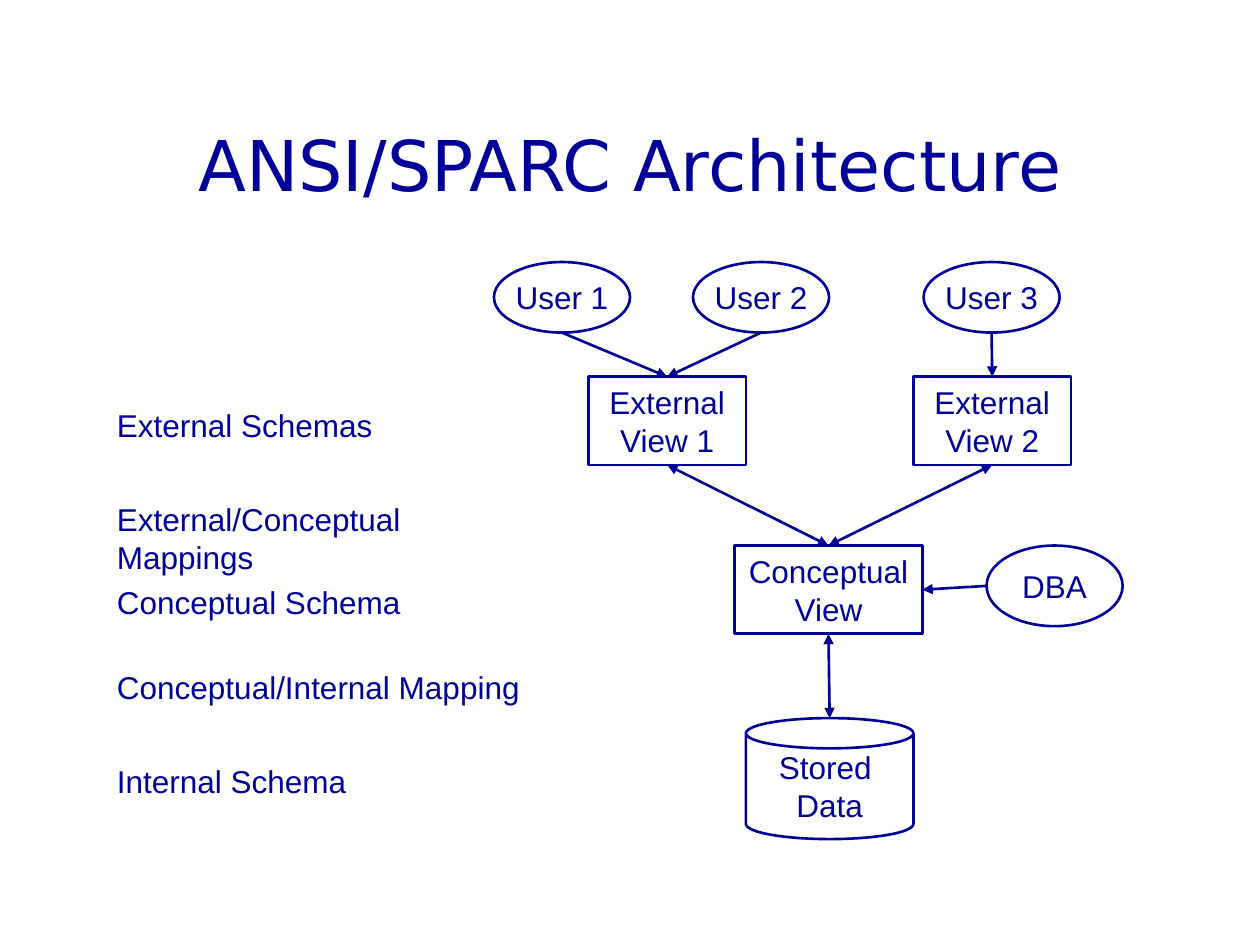
from pptx import Presentation
from pptx.dml.color import RGBColor
from pptx.enum.shapes import MSO_CONNECTOR as Link, MSO_SHAPE as Shape
from pptx.enum.text import MSO_ANCHOR as Anchor, MSO_AUTO_SIZE as Fit, PP_ALIGN as Align
from pptx.oxml.ns import qn
from pptx.util import Inches, Pt
from lxml.etree import SubElement

NAVY = RGBColor(0x00, 0x00, 0x99)
TOP, LEFT, BOTTOM, RIGHT = range(4)


def apply(target, values):
    for name, value in values.items():
        setattr(target, name, value)


class Diagram:
    """Draws outlined shapes, labels and arrows on one slide in a shared style."""

    font = {"name": "Arial", "size": Pt(18)}
    title_font = {"name": "DejaVu Sans", "size": Pt(40)}
    line_width = Pt(1.5)

    def __init__(self, page):
        self.page = page

    def fill_text(self, box, lines, font, align, frame):
        apply(box.text_frame, frame)
        for index, line in enumerate(lines):
            para = box.text_frame.add_paragraph() if index else box.text_frame.paragraphs[0]
            para.alignment = align
            span = para.add_run()
            span.text = line
            apply(span.font, font)
            span.font.color.rgb = NAVY

    def title(self, text, left, top, width, height):
        box = self.page.shapes.title
        apply(box, {"left": Inches(left), "top": Inches(top),
                    "width": Inches(width), "height": Inches(height)})
        self.fill_text(box, [text], self.title_font, Align.CENTER,
                       {"vertical_anchor": Anchor.MIDDLE})

    def label(self, text, left, top, width, height=0.4):
        box = self.page.shapes.add_textbox(*map(Inches, (left, top, width, height)))
        self.fill_text(box, [text], self.font, Align.LEFT,
                       {"word_wrap": False, "auto_size": Fit.SHAPE_TO_FIT_TEXT})

    def outline(self, kind, lines, left, top, width, height, frame):
        box = self.page.shapes.add_shape(kind, *map(Inches, (left, top, width, height)))
        box.shadow.inherit = False
        box.fill.background()
        self.stroke(box)
        self.fill_text(box, lines, self.font, Align.CENTER, frame)
        return box

    def view(self, lines, left, top, width, height=0.7):
        return self.outline(Shape.RECTANGLE, lines, left, top, width, height,
                            {"vertical_anchor": Anchor.TOP, "word_wrap": True,
                             "auto_size": Fit.SHAPE_TO_FIT_TEXT})

    def person(self, name, left, top, height=0.56):
        return self.outline(Shape.OVAL, [name], left, top, 1.08, height,
                            {"vertical_anchor": Anchor.MIDDLE, "word_wrap": False})

    def store(self, lines, left, top, width, height):
        return self.outline(Shape.CAN, lines, left, top, width, height,
                            {"vertical_anchor": Anchor.MIDDLE, "word_wrap": False})

    def stroke(self, item):
        item.line.color.rgb = NAVY
        item.line.width = self.line_width

    def side_point(self, box, side):
        across = {LEFT: 0, RIGHT: box.width}.get(side, box.width // 2)
        down = {TOP: 0, BOTTOM: box.height}.get(side, box.height // 2)
        return box.left + across, box.top + down

    def arrow(self, start, start_side, end, end_side, both=False):
        line = self.page.shapes.add_connector(
            Link.STRAIGHT, *self.side_point(start, start_side), *self.side_point(end, end_side))
        self.stroke(line)
        for box, side, join in ((start, start_side, line.begin_connect),
                                (end, end_side, line.end_connect)):
            if box.auto_shape_type == Shape.RECTANGLE:
                join(box, side)
        properties = line._element.spPr
        for tag in ("a:headEnd", "a:tailEnd") if both else ("a:tailEnd",):
            SubElement(properties.find(qn("a:ln")), qn(tag), type="triangle")
        SubElement(properties, qn("a:effectLst"))


def main():
    deck = Presentation()
    deck.slide_width, deck.slide_height = Inches(10), Inches(7.5)
    diagram = Diagram(deck.slides.add_slide(deck.slide_layouts[5]))
    diagram.title("ANSI/SPARC Architecture", 0.75, 0.67, 8.5, 1.25)

    stored = diagram.store(["Stored ", "Data"], 5.92, 5.7, 1.33, 0.96)
    conceptual = diagram.view(["Conceptual", "View"], 5.83, 4.33, 1.49)
    external = [diagram.view(["External", f"View {number}"], left, 2.99, 1.25)
                for number, left in enumerate((4.67, 7.25), 1)]
    users = [diagram.person(f"User {number}", left, 2.08)
             for number, left in enumerate((3.92, 5.5, 7.33), 1)]
    dba = diagram.person("DBA", 7.83, 4.33, 0.64)

    diagram.arrow(stored, TOP, conceptual, BOTTOM, both=True)
    for view in external:
        diagram.arrow(view, BOTTOM, conceptual, TOP, both=True)
    diagram.arrow(dba, LEFT, conceptual, RIGHT)
    for user, view in zip(users, (external[0], external[0], external[1])):
        diagram.arrow(user, BOTTOM, view, TOP)

    for text, top, width in (("External Schemas", 3.17, 2.23),
                             ("External/Conceptual Mappings", 3.92, 3.6),
                             ("Conceptual Schema", 4.58, 2.45),
                             ("Conceptual/Internal Mapping", 5.25, 3.41),
                             ("Internal Schema", 6, 2.02)):
        diagram.label(text, 0.83, top, width)

    deck.save("out.pptx")


if __name__ == "__main__":
    main()
